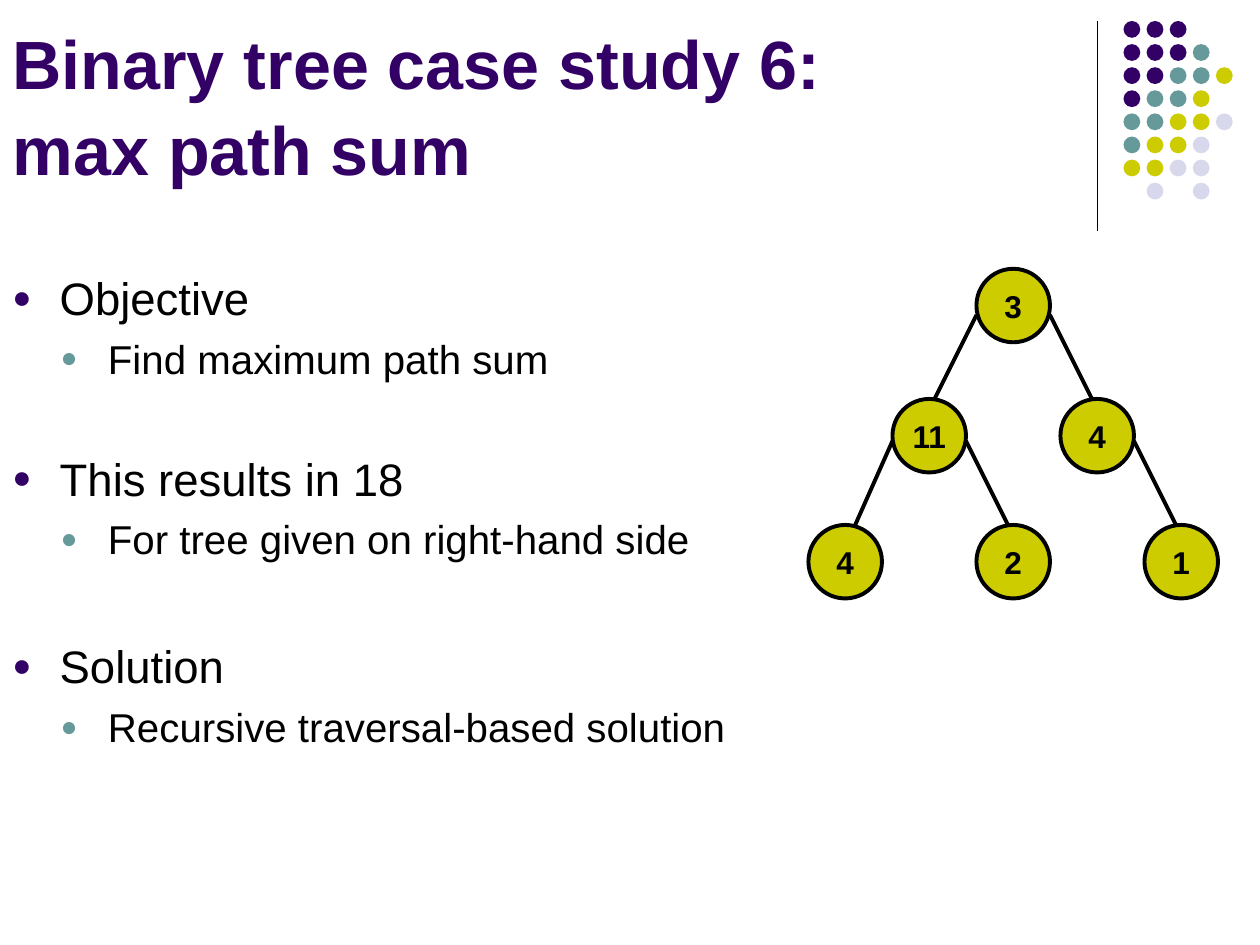
from lxml.etree import SubElement
from pptx import Presentation
from pptx.dml.color import RGBColor
from pptx.enum.shapes import MSO_CONNECTOR, MSO_SHAPE
from pptx.enum.text import MSO_ANCHOR, MSO_AUTO_SIZE, PP_ALIGN
from pptx.oxml.ns import qn
from pptx.util import Emu, Pt

PX = 7620  # EMU per px, 120 px to the inch
FONT = "Arial"
PURPLE, TEAL, LIME, PALE, BLACK = "330066", "669999", "CCCC00", "D8D8EC", "000000"


def px(length):
    return Emu(length * PX)


def color(value):
    return RGBColor.from_string(value)


def style_text(paragraph, size, value, bold=False):
    for run in paragraph.runs:
        run.font.name = FONT
        run.font.size = Pt(size)
        run.font.bold = bold
        run.font.color.rgb = color(value)


def add_line(slide, start, end, width):
    line = slide.shapes.add_connector(
        MSO_CONNECTOR.STRAIGHT, *[px(v) for v in (*start, *end)])
    line.line.color.rgb = color(BLACK)
    line.line.width = Pt(width)
    SubElement(line._element.spPr, qn("a:effectLst"))


def add_circle(shapes, left, top, size, fill):
    circle = shapes.add_shape(
        MSO_SHAPE.OVAL, px(left), px(top), px(size), px(size))
    circle.shadow.inherit = False
    circle.fill.solid()
    circle.fill.fore_color.rgb = color(fill)
    circle.line.fill.background()
    return circle


def add_dot_pattern(slide, left, top):
    rows = ["PPP", "PPPT", "PPTTL", "PTTL", "TTLLW", "TLLW", "LLWW", " W W"]
    fills = {"P": PURPLE, "T": TEAL, "L": LIME, "W": PALE}
    pitch, size = 22, 16
    add_line(slide, (left, top), (left, top + 200), 0.75)
    dots = slide.shapes.add_group_shape()
    for row, codes in enumerate(rows):
        for column, code in enumerate(codes):
            if code in fills:
                add_circle(dots.shapes, left + 25 + column * pitch,
                           top + row * pitch, size, fills[code])


def place_title(slide, left, top, width, height):
    title = slide.shapes.title
    title.left, title.top, title.width, title.height = map(
        px, (left, top, width, height))
    frame = title.text_frame
    frame.text = "Binary tree case study 6: \vmax path sum"
    frame.auto_size = MSO_AUTO_SIZE.NONE
    frame.vertical_anchor = MSO_ANCHOR.BOTTOM
    heading = frame.paragraphs[0]
    heading.alignment = PP_ALIGN.LEFT
    heading.line_spacing = 1.05
    style_text(heading, 39, PURPLE, bold=True)


def set_bullet(paragraph, level, value):
    indent = 45
    properties = paragraph._p.get_or_add_pPr()
    properties.set("marL", str(px(indent + level * 46)))
    properties.set("indent", str(px(-indent)))
    bullet_color = SubElement(properties, qn("a:buClr"))
    SubElement(bullet_color, qn("a:srgbClr"), val=value)
    SubElement(properties, qn("a:buSzPct"), val="70000")
    SubElement(properties, qn("a:buFont"), typeface=FONT)
    SubElement(properties, qn("a:buChar"), char="●")


def add_outline(slide, left, top, width, height):
    # level, space before in points, text
    points = [
        (0, 0, "Objective"),
        (1, 5.5, "Find maximum path sum"),
        (0, 39, "This results in 18"),
        (1, 5.5, "For tree given on right-hand side"),
        (0, 43, "Solution"),
        (1, 5.5, "Recursive traversal-based solution"),
    ]
    outline = slide.shapes.add_textbox(*map(px, (left, top, width, height)))
    frame = outline.text_frame
    frame.word_wrap = True
    frame.margin_top = px(71)
    frame.text = "\n".join(text for _, _, text in points)
    for paragraph, (level, gap, _) in zip(frame.paragraphs, points):
        paragraph.level = level
        paragraph.space_before = Pt(gap)
        style_text(paragraph, (26, 23)[level], BLACK)
        set_bullet(paragraph, level, (PURPLE, TEAL)[level])


def add_tree(slide, left, top):
    size = 70
    nodes = [("3", 160, 0), ("11", 80, 124), ("4", 240, 124),
             ("4", 0, 244), ("2", 160, 244), ("1", 320, 244)]
    edges = [((160, 44), (120, 124)), ((230, 44), (270, 124)),
             ((80, 164), (40, 254)), ((150, 164), (190, 244)),
             ((310, 164), (350, 244))]
    for parent, child in edges:
        add_line(slide, (left + parent[0], top + parent[1]),
                 (left + child[0], top + child[1]), 2.25)
    for value, x, y in nodes:
        node = add_circle(slide.shapes, left + x, top + y, size, LIME)
        node.line.color.rgb = color(BLACK)
        node.line.width = Pt(2.25)
        frame = node.text_frame
        frame.text = value
        frame.word_wrap = False
        frame.vertical_anchor = MSO_ANCHOR.MIDDLE
        frame.paragraphs[0].alignment = PP_ALIGN.CENTER
        style_text(frame.paragraphs[0], 18, BLACK, bold=True)


def main():
    presentation = Presentation()
    presentation.slide_width, presentation.slide_height = px(1200), px(900)
    slide = presentation.slides.add_slide(presentation.slide_layouts[5])
    add_dot_pattern(slide, 1045, 20)
    place_title(slide, 0, 0, 1050, 186)
    add_outline(slide, 0, 186, 870, 714)
    add_tree(slide, 770, 256)
    presentation.save("out.pptx")


if __name__ == "__main__":
    main()
